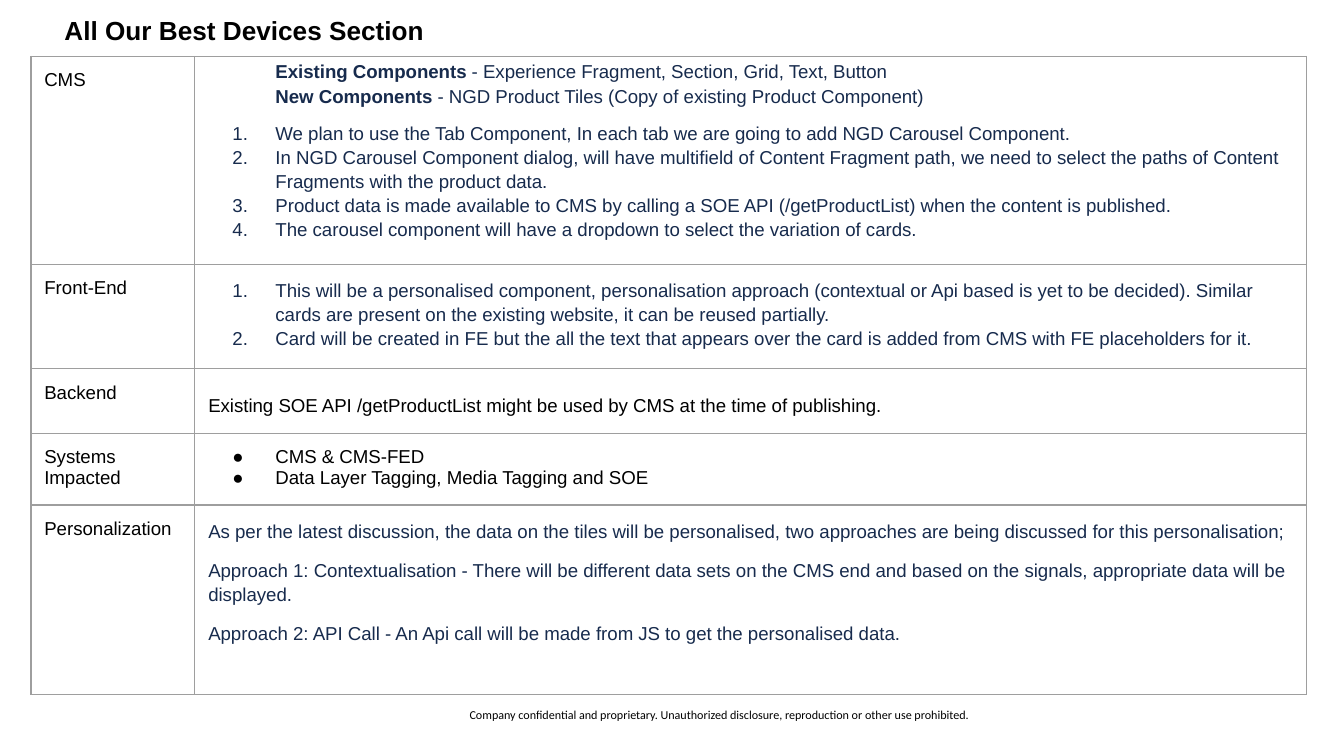
import dataclasses

import pptx
import pptx.dml.color
import pptx.enum.text
import pptx.oxml.ns
import pptx.util
from lxml import etree
from pptx.util import Inches

BLACK = "000000"
NAVY = "172B4D"
WHITE = "FFFFFF"
GREY = "9E9E9E"
NUMBER = "number"
DOT = "●"


@dataclasses.dataclass(frozen=True)
class Line:
    text: str
    lead: str = ""
    color: str = NAVY
    marker: str = ""
    indent: float = 0
    spacing: float = 1.15
    before: float = 0


@dataclasses.dataclass(frozen=True)
class Topic:
    label: str
    height: float
    lines: list[Line]


def rgb(value: str) -> pptx.dml.color.RGBColor:
    return pptx.dml.color.RGBColor.from_string(value)


def add_element(parent, tag: str, **attributes: str):
    element = etree.SubElement(parent, pptx.oxml.ns.qn(tag))
    for key, value in attributes.items():
        element.set(key, value)
    return element


def add_marker(paragraph, marker: str, color: str) -> None:
    properties = paragraph._p.get_or_add_pPr()
    properties.set("indent", str(Inches(-0.32)))
    add_element(add_element(properties, "a:buClr"), "a:srgbClr", val=color)
    add_element(properties, "a:buFont", typeface="Arial")
    if marker == NUMBER:
        add_element(properties, "a:buAutoNum", type="arabicPeriod")
    else:
        add_element(properties, "a:buChar", char=marker)


def write(frame, text: str, *, lead: str = "", size: float = 10, font: str = "Arial",
          color: str = BLACK, bold: bool = False, marker: str = "", indent: float = 0,
          spacing: float = 1.0, before: float = 0, align=None) -> None:
    first = frame.paragraphs[0]
    paragraph = frame.add_paragraph() if first.runs else first
    if marker:
        add_marker(paragraph, marker, color)
    if indent:
        paragraph._p.get_or_add_pPr().set("marL", str(Inches(indent)))
    paragraph.line_spacing = spacing
    paragraph.space_before = pptx.util.Pt(before)
    paragraph.alignment = align
    for words, weight in ((lead, True), (text, bold)):
        if words:
            run = paragraph.add_run()
            run.text = words
            run.font.size = pptx.util.Pt(size)
            run.font.name = font
            run.font.bold = weight
            run.font.color.rgb = rgb(color)


def add_box(slide, left: float, top: float, width: float, height: float,
            inset: float, anchor):
    frame = slide.shapes.add_textbox(
        Inches(left), Inches(top), Inches(width), Inches(height)).text_frame
    frame.word_wrap = True
    frame.vertical_anchor = anchor
    frame.margin_left = frame.margin_right = Inches(inset)
    frame.margin_top = frame.margin_bottom = Inches(inset)
    return frame


def style_cell(cell) -> None:
    cell.margin_left = cell.margin_right = Inches(0.1)
    cell.margin_top = cell.margin_bottom = Inches(0.1)
    properties = cell._tc.get_or_add_tcPr()
    for side in ("a:lnL", "a:lnR", "a:lnT", "a:lnB"):
        border = add_element(properties, side, w=str(pptx.util.Pt(0.75)))
        add_element(add_element(border, "a:solidFill"), "a:srgbClr", val=GREY)
    cell.fill.solid()
    cell.fill.fore_color.rgb = rgb(WHITE)


def add_topics(slide, topics: list[Topic]) -> None:
    widths = (1.22, 8.27)
    side = Inches(3.28)
    holder = slide.shapes.add_table(
        len(topics), len(widths), Inches(0.23), Inches(0.42), side, side)
    table = holder.table
    table.first_row = False
    table.horz_banding = False
    for column, width in zip(table.columns, widths):
        column.width = Inches(width)
    for row, topic in zip(table.rows, topics):
        row.height = Inches(topic.height)
        label, details = row.cells
        style_cell(label)
        style_cell(details)
        write(label.text_frame, topic.label)
        for line in topic.lines:
            write(details.text_frame, **dataclasses.asdict(line))
    holder.width = holder.height = side


def numbered(text: str, before: float = 0) -> Line:
    return Line(text, marker=NUMBER, indent=0.5, before=before)


def dotted(text: str) -> Line:
    return Line(text, color=BLACK, marker=DOT, indent=0.5, spacing=1.0)


TOPICS = [
    Topic("CMS", 1.45, [
        Line(" - Experience Fragment, Section, Grid, Text, Button",
             lead="Existing Components", indent=0.5, spacing=0.5),
        Line(" - NGD Product Tiles (Copy of existing Product Component)",
             lead="New Components", indent=0.5, spacing=0.5, before=8),
        numbered("We plan to use the Tab Component, In each tab we are going to add "
                 "NGD Carousel Component.", before=8),
        numbered("In NGD Carousel Component dialog, will have multifield of Content "
                 "Fragment path, we need to select the paths of Content Fragments "
                 "with the product data."),
        numbered("Product data is made available to CMS by calling a SOE API "
                 "(/getProductList) when the content is published."),
        numbered("The carousel component will have a dropdown to select the "
                 "variation of cards."),
    ]),
    Topic("Front-End", 0.72, [
        numbered("This will be a personalised component, personalisation approach "
                 "(contextual or Api based is yet to be decided). Similar cards are "
                 "present on the existing website, it can be reused partially."),
        numbered("Card will be created in FE but the all the text that appears over "
                 "the card is added from CMS with FE placeholders for it."),
    ]),
    Topic("Backend", 0.35, [
        Line("Existing SOE API /getProductList might be used by CMS at the time of "
             "publishing.", color=BLACK, spacing=1.67),
    ]),
    Topic("Systems Impacted", 0.51, [
        dotted("CMS & CMS-FED"),
        dotted("Data Layer Tagging, Media Tagging and SOE"),
    ]),
    Topic("Personalization", 1.41, [
        Line("As per the latest discussion, the data on the tiles will be "
             "personalised, two approaches are being discussed for this "
             "personalisation;"),
        Line("Approach 1: Contextualisation - There will be different data sets on "
             "the CMS end and based on the signals, appropriate data will be "
             "displayed.", before=8),
        Line("Approach 2: API Call - An Api call will be made from JS to get the "
             "personalised data.", before=8),
    ]),
]


def main() -> None:
    deck = pptx.Presentation()
    deck.slide_width = Inches(10)
    deck.slide_height = deck.slide_width * 9 // 16
    slide = deck.slides.add_slide(deck.slide_layouts[6])

    notice = add_box(slide, 1.46, 5.04, 7.79, 0.33, 0,
                     pptx.enum.text.MSO_ANCHOR.BOTTOM)
    write(notice, "Company confidential and proprietary. Unauthorized disclosure, "
          "reproduction or other use prohibited.", size=6.5, font="Calibri",
          spacing=1.14, align=pptx.enum.text.PP_ALIGN.CENTER)

    title = add_box(slide, 0.41, 0.08, 9, 0.29, 0.07, pptx.enum.text.MSO_ANCHOR.TOP)
    write(title, "All Our Best Devices Section", size=14, bold=True, spacing=0.8)

    add_topics(slide, TOPICS)
    deck.save("out.pptx")


if __name__ == "__main__":
    main()
